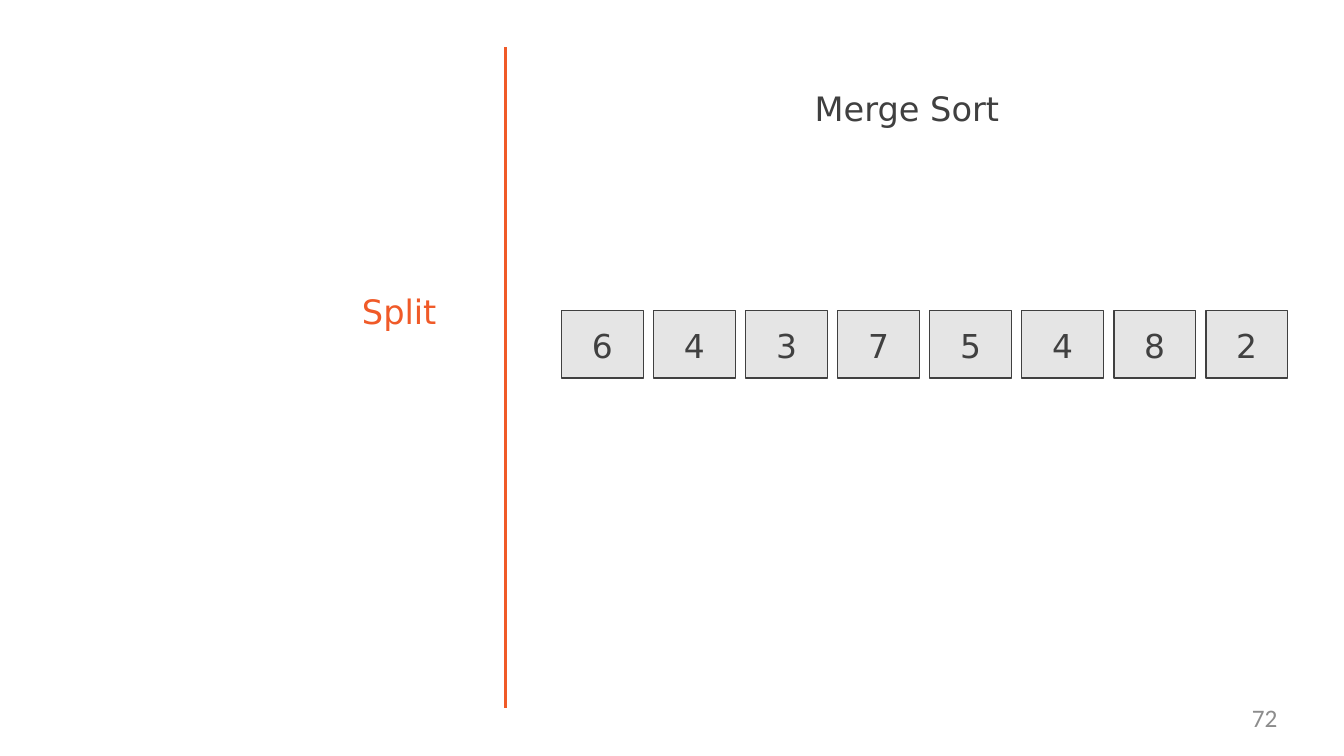
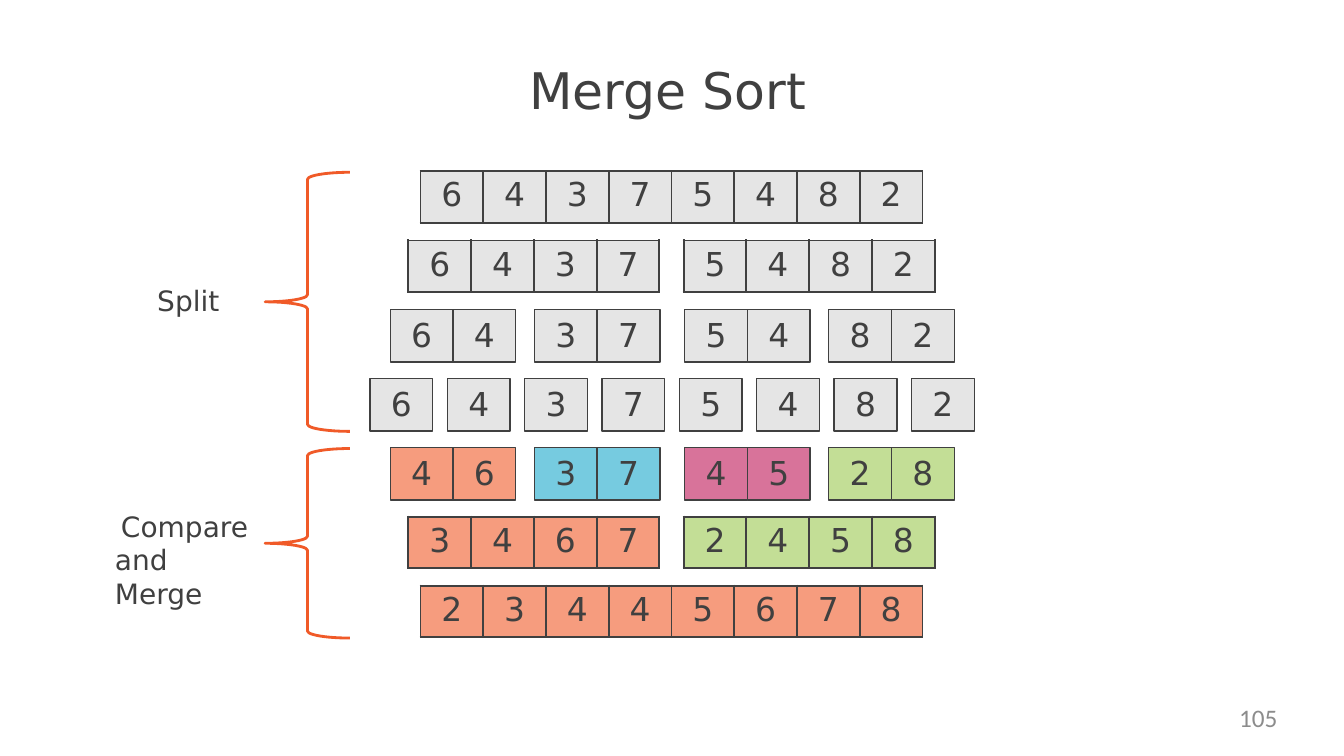
from lxml import etree
from pptx import Presentation
from pptx.dml.color import RGBColor as RGB
from pptx.enum.shapes import MSO_CONNECTOR as LINK, MSO_SHAPE as SHAPE
from pptx.enum.text import MSO_ANCHOR as ANCHOR, MSO_AUTO_SIZE as AUTO, PP_ALIGN as ALIGN
from pptx.oxml.ns import qn
from pptx.util import Inches, Pt

FACE = "DejaVu Sans"
INK, ACCENT, MUTED = "404040", "F05A28", "8C8C8C"
GRAY, CORAL, BLUE, PINK, GREEN = "E5E5E5", "F69C7E", "76CBE0", "D8739A", "C3DE96"
CELL = 4.98 / 8
DIGIT = 23.5


def paint(target, color):
    target.solid()
    target.fore_color.rgb = RGB.from_string(color)


def stroke(line, color, width):
    paint(line.fill, color)
    line.width = Pt(width)


def style(para, size, color=INK, face=FACE, align=ALIGN.LEFT):
    para.alignment = align
    para.font.size = Pt(size)
    para.font.name = face
    para.font.color.rgb = RGB.from_string(color)


def write(frame, text, size, top=0.02, **look):
    frame.margin_left = frame.margin_right = frame.margin_bottom = 0
    frame.margin_top = Inches(top)
    frame.word_wrap = True
    frame.auto_size = AUTO.NONE
    frame.vertical_anchor = ANCHOR.TOP
    frame.text = text
    style(frame.paragraphs[0], size, **look)


def label(slide, text, box, size, **look):
    shape = slide.shapes.add_textbox(*map(Inches, box))
    write(shape.text_frame, text, size, **look)
    return shape


def start(deck, box, size, number):
    slide = deck.slides.add_slide(deck.slide_layouts[5])
    title = slide.shapes.title
    title.left, title.top, title.width, title.height = map(Inches, box)
    write(title.text_frame, "Merge Sort", size)
    label(slide, number, (9.6, 6.97, 3.07, 0.38), 18, top=0,
          color=MUTED, face="Calibri", align=ALIGN.RIGHT)
    return slide


def card(slide, digit, box, fill=GRAY, top=0.05):
    shape = slide.shapes.add_shape(SHAPE.RECTANGLE, *map(Inches, box))
    shape.shadow.inherit = False
    paint(shape.fill, fill)
    stroke(shape.line, INK, 1)
    write(shape.text_frame, digit, DIGIT, top=top, align=ALIGN.CENTER)


def cards(slide, digits, left, top, step, fill=GRAY):
    for i, digit in enumerate(digits):
        card(slide, digit, (left + i * step, top, CELL, 0.52), fill)


def border(cell):
    props = cell._tc.get_or_add_tcPr()
    for i, side in enumerate(("lnL", "lnR", "lnT", "lnB")):
        line = etree.Element(qn("a:" + side), w=str(Pt(1.5)))
        fill = etree.SubElement(line, qn("a:solidFill"))
        etree.SubElement(fill, qn("a:srgbClr"), val=INK)
        props.insert(i, line)


def strip(slide, digits, left, top, fill=GRAY):
    count = len(digits)
    box = (left, top, count * CELL, 0.51)
    table = slide.shapes.add_table(1, count, *map(Inches, box)).table
    table.first_row = table.horz_banding = False
    for col, digit in enumerate(digits):
        table.columns[col].width = Inches(CELL)
        cell = table.cell(0, col)
        cell.margin_left = cell.margin_right = cell.margin_bottom = 0
        cell.margin_top = Inches(0.05)
        cell.text = digit
        style(cell.text_frame.paragraphs[0], DIGIT, align=ALIGN.CENTER)
        paint(cell.fill, fill)
        border(cell)


def brace(slide, top, height):
    shape = slide.shapes.add_shape(
        SHAPE.LEFT_BRACE, *map(Inches, (2.63, top, 0.84, height)))
    shape.shadow.inherit = False
    shape.fill.background()
    stroke(shape.line, ACCENT, 2)


def rule(slide, left, top, height):
    line = slide.shapes.add_connector(
        LINK.STRAIGHT, *map(Inches, (left, top, left, top + height)))
    stroke(line.line, ACCENT, 2)
    etree.SubElement(line._element.spPr, qn("a:effectLst"))


def intro(deck):
    slide = start(deck, (8.08, 0.85, 2, 0.43), 24, "72")
    rule(slide, 5.01, 0.47, 6.55)
    label(slide, "Split", (3.59, 2.87, 0.9, 0.43), 24, color=ACCENT)
    step = (11.96 - 5.57) / 7
    for i, digit in enumerate("64375482"):
        card(slide, digit, (5.57 + i * step, 3.08, 0.81, 0.67), top=0.15)


def steps(deck):
    slide = start(deck, (5.25, 0.57, 2.9, 0.63), 36, "105")
    rows = [1.7 + i * 4.11 / 6 for i in range(7)]
    halves, pairs = (4.05, 6.78), (3.87, 5.3, 6.79, 8.22)
    strips = (
        (0, (4.17,), ("64375482",), (GRAY,)),
        (1, halves, ("6437", "5482"), (GRAY,) * 2),
        (5, halves, ("3467", "2458"), (CORAL, GREEN)),
        (6, (4.17,), ("23445678",), (CORAL,)),
    )
    for row, lefts, groups, fills in strips:
        for left, digits, fill in zip(lefts, groups, fills):
            strip(slide, digits, left, rows[row], fill)
    couples = (
        (2, ("64", "37", "54", "82"), (GRAY,) * 4),
        (4, ("46", "37", "45", "28"), (CORAL, BLUE, PINK, GREEN)),
    )
    for row, groups, fills in couples:
        for left, digits, fill in zip(pairs, groups, fills):
            cards(slide, digits, left, rows[row], CELL, fill)
    cards(slide, "64375482", 3.67, rows[3], (9.04 - 3.67) / 7)
    brace(slide, 1.71, 2.57)
    brace(slide, 4.45, 1.88)
    label(slide, "Split", (1.56, 2.79, 0.8, 0.36), 20)
    merge = label(slide, "Compare and Merge", (1.14, 5.03, 1.4, 1.04), 20)
    props = merge.text_frame.paragraphs[0]._p.get_or_add_pPr()
    props.set("indent", str(Inches(0.06)))


def main():
    deck = Presentation()
    deck.slide_width, deck.slide_height = Inches(13.33), Inches(7.5)
    intro(deck)
    steps(deck)
    deck.save("out.pptx")


if __name__ == "__main__":
    main()
